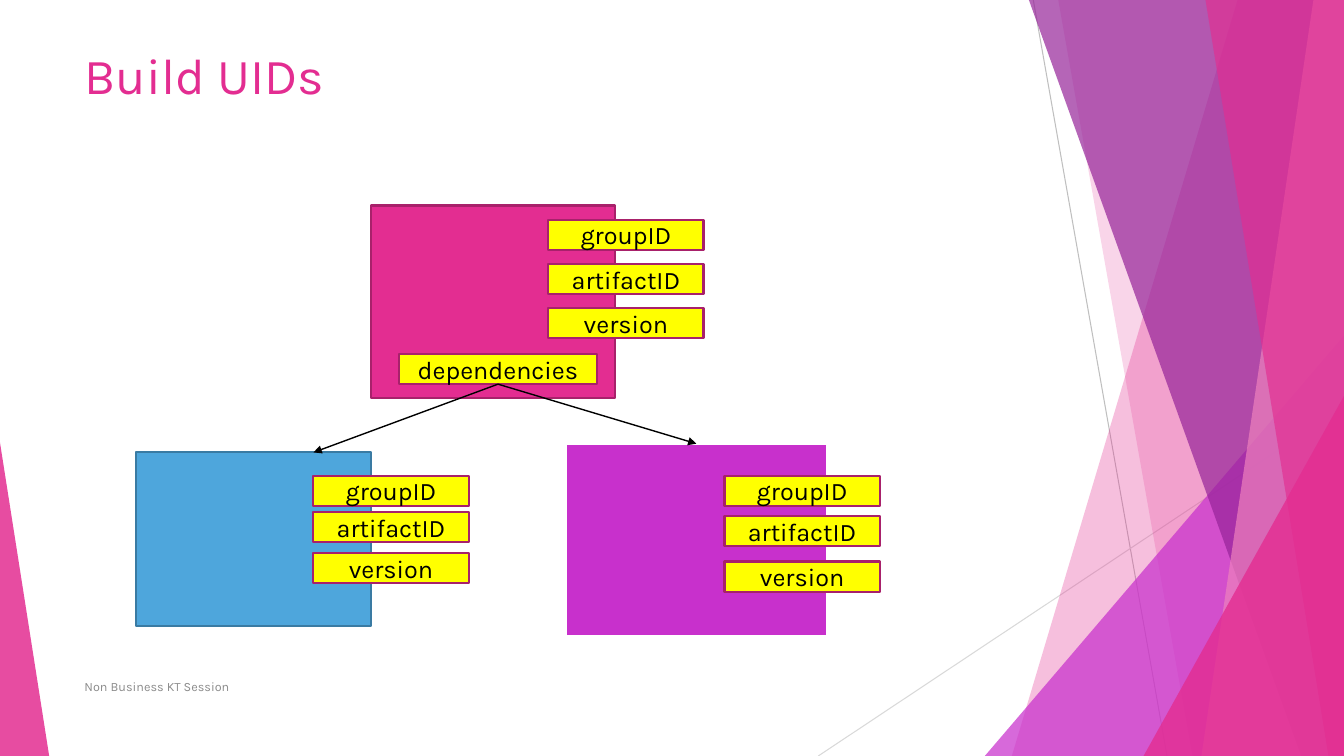
from dataclasses import dataclass

from lxml.etree import SubElement
from pptx import Presentation
from pptx.dml.color import RGBColor
from pptx.enum.shapes import MSO_CONNECTOR, MSO_SHAPE
from pptx.enum.text import MSO_ANCHOR, PP_ALIGN
from pptx.oxml.ns import qn
from pptx.util import Cm, Pt


@dataclass(frozen=True)
class Theme:
    font: str = "Karla"
    pink: str = "E32D91"
    light_pink: str = "EE81BD"
    dark_pink: str = "A8216B"
    purple: str = "C830CC"
    dark_purple: str = "962499"
    blue: str = "4EA6DC"
    dark_blue: str = "3A7BA3"
    yellow: str = "FFFF00"
    white: str = "FFFFFF"
    black: str = "000000"
    gray: str = "8C8C8C"
    line_gray: str = "BFBFBF"
    pale_gray: str = "D9D9D9"
    title_size: int = 36
    label_size: int = 18
    footer_size: int = 9


THEME = Theme()
WIDTH, HEIGHT = 33.87, 19.05
LABEL_WIDTH, LABEL_HEIGHT = 3.91, 0.76

# Top and bottom x of each facet's slanted edge, colour, opacity in percent
BACK_FACETS = [(31.19, 25.5, THEME.pink, 30), (26.67, 30.05, THEME.pink, 20)]
FRONT_FACETS = [
    (25.93, 32.79, THEME.dark_purple, 70),
    (33.1, 30.28, THEME.light_pink, 70),
    (30.38, 33.48, THEME.pink, 65),
]
# Box position and size, fill, outline, outline width
MODULES = [
    ((9.35, 5.18, 6.15, 4.85), THEME.pink, THEME.dark_pink, 1.5),
    ((3.43, 11.4, 5.92, 4.37), THEME.blue, THEME.dark_blue, 1.5),
    ((14.25, 11.18, 6.6, 4.85), THEME.purple, THEME.white, 2),
]
UID_PARTS = ["groupID", "artifactID", "version"]
# Left edge of each label column and the top of each label in it
UID_COLUMNS = [
    (13.82, (5.54, 6.65, 7.77)),
    (7.9, (11.99, 12.9, 13.94)),
    (18.26, (11.99, 13.0, 14.15)),
]


def paint(shape, fill, opacity=100, outline=None, outline_width=1.5):
    shape.shadow.inherit = False
    shape.fill.solid()
    shape.fill.fore_color.rgb = RGBColor.from_string(fill)
    if opacity < 100:
        color = shape.element.spPr.find(qn("a:solidFill"))[0]
        SubElement(color, qn("a:alpha"), val=str(opacity * 1000))
    if outline:
        shape.line.color.rgb = RGBColor.from_string(outline)
        shape.line.width = Pt(outline_width)
    else:
        shape.line.fill.background()


def write_text(shape, text, size, color, align=PP_ALIGN.LEFT, anchor=MSO_ANCHOR.MIDDLE):
    frame = shape.text_frame
    frame.word_wrap = True
    frame.vertical_anchor = anchor
    paragraph = frame.paragraphs[0]
    paragraph.alignment = align
    run = paragraph.add_run()
    run.text = text
    run.font.name = THEME.font
    run.font.size = Pt(size)
    run.font.color.rgb = RGBColor.from_string(color)


def add_text(slide, bounds, text, **text_format):
    box = slide.shapes.add_textbox(*map(Cm, bounds))
    write_text(box, text, **text_format)


def add_box(slide, bounds, fill, outline, outline_width=1.5):
    box = slide.shapes.add_shape(MSO_SHAPE.RECTANGLE, *map(Cm, bounds))
    paint(box, fill, outline=outline, outline_width=outline_width)
    return box


def add_label(slide, left, top, text, width=LABEL_WIDTH):
    label = add_box(slide, (left, top, width, LABEL_HEIGHT), THEME.yellow, THEME.dark_pink)
    write_text(label, text, size=THEME.label_size, color=THEME.black, align=PP_ALIGN.CENTER)
    return label


def add_line(slide, start, end, color, width, arrow=False):
    line = slide.shapes.add_connector(MSO_CONNECTOR.STRAIGHT, *map(Cm, start + end))
    line.line.color.rgb = RGBColor.from_string(color)
    line.line.width = Pt(width)
    if arrow:
        SubElement(line.element.spPr.find(qn("a:ln")), qn("a:tailEnd"), type="triangle")
    SubElement(line.element.spPr, qn("a:effectLst"))
    return line


def add_facet(slide, top_x, bottom_x, fill, opacity):
    """Fill the slide from a slanted edge to its right side."""
    builder = slide.shapes.build_freeform(Cm(top_x), 0)
    corners = [(WIDTH, 0), (WIDTH, HEIGHT), (bottom_x, HEIGHT)]
    builder.add_line_segments([(Cm(x), Cm(y)) for x, y in corners], close=True)
    paint(builder.convert_to_shape(), fill, opacity)


def add_corner(slide, width, height, fill, opacity, right=True):
    """Put a right-angled triangle in a bottom corner of the slide."""
    left = WIDTH - width if right else 0
    triangle = slide.shapes.add_shape(
        MSO_SHAPE.ISOSCELES_TRIANGLE, Cm(left), Cm(HEIGHT - height), Cm(width), Cm(height)
    )
    triangle.adjustments[0] = 1 if right else 0
    paint(triangle, fill, opacity)


def add_background(slide):
    add_line(slide, (26.04, 0), (29.41, HEIGHT), THEME.line_gray, 0.75)
    add_line(slide, (WIDTH, 10.24), (20.62, HEIGHT), THEME.pale_gray, 0.75)
    for facet in BACK_FACETS:
        add_facet(slide, *facet)
    add_corner(slide, 9.05, 10.59, THEME.purple, 72)
    for facet in FRONT_FACETS:
        add_facet(slide, *facet)
    add_corner(slide, 5.05, 9.07, THEME.pink, 80)
    add_corner(slide, 1.24, 7.9, THEME.pink, 85, right=False)


def add_diagram(slide):
    modules = [add_box(slide, *module) for module in MODULES]
    for left, tops in UID_COLUMNS:
        for top, text in zip(tops, UID_PARTS):
            add_label(slide, left, top, text)
    dependencies = add_label(slide, 10.06, 8.92, "dependencies", width=4.98)

    start = (12.55, 9.68)
    for end in [(7.9, 11.4), (17.55, 11.18)]:
        arrow = add_line(slide, start, end, THEME.black, 1, arrow=True)
        arrow.begin_connect(dependencies, 2)
    arrow.end_connect(modules[-1], 0)


def main():
    presentation = Presentation()
    presentation.slide_width = Cm(WIDTH)
    presentation.slide_height = Cm(HEIGHT)
    slide = presentation.slides.add_slide(presentation.slide_layouts[6])
    add_background(slide)
    add_text(slide, (1.88, 0.99, 23.88, 3.66), "Build UIDs",
             size=THEME.title_size, color=THEME.pink, anchor=MSO_ANCHOR.TOP)
    add_text(slide, (1.88, 16.79, 17.5, 1.02), "Non Business KT Session",
             size=THEME.footer_size, color=THEME.gray)
    add_diagram(slide)
    presentation.save("out.pptx")


if __name__ == "__main__":
    main()
